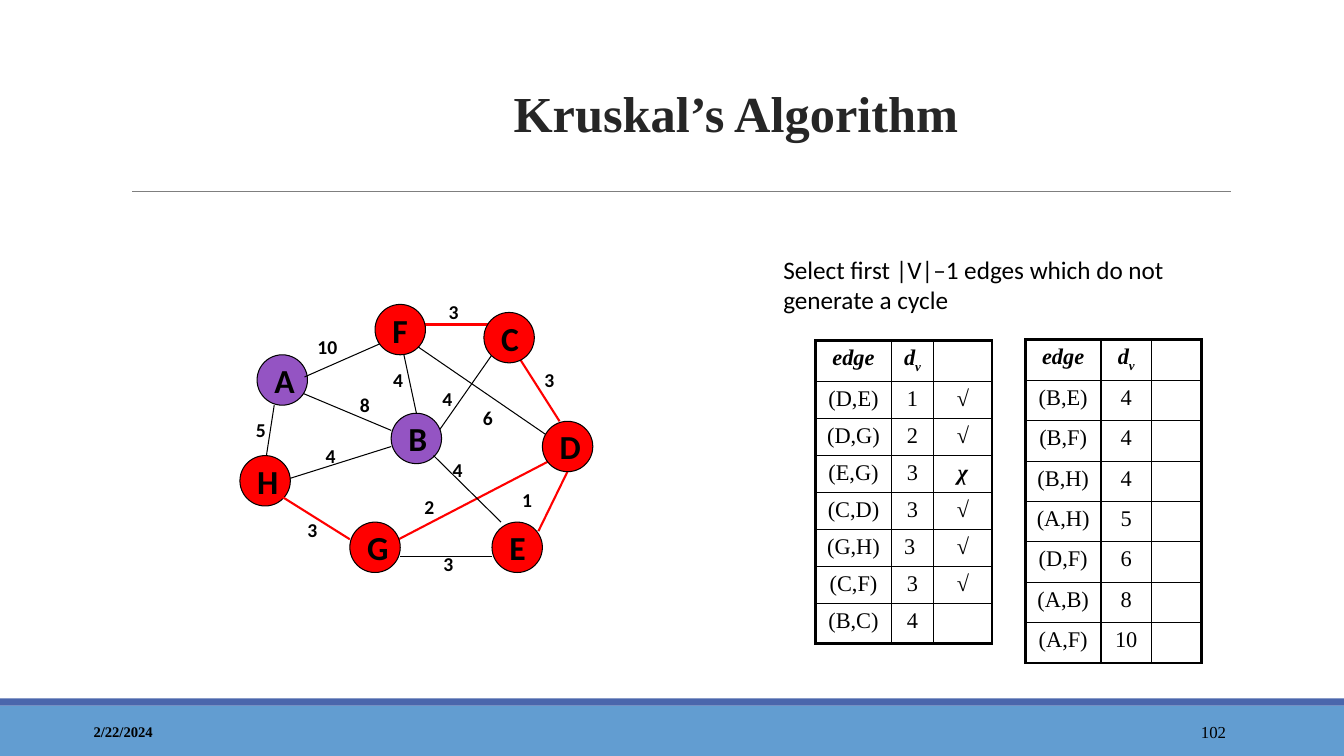
from lxml import etree
from pptx import Presentation
from pptx.dml.color import RGBColor
from pptx.enum.shapes import MSO_CONNECTOR, MSO_SHAPE
from pptx.enum.text import MSO_ANCHOR, PP_ALIGN
from pptx.oxml.ns import qn
from pptx.util import Inches, Pt

COLORS = {
    "black": "000000", "title": "262626", "rule": "7F7F7F", "red": "FF0000",
    "purple": "9454C3", "band": "629DD1", "strip": "4A66AC",
}
SERIF, SANS = "Times New Roman", "Calibri"
NODE = 0.5

NODES = [
    ("A", 2.55, 3.52, "purple"), ("H", 2.38, 4.52, "red"),
    ("B", 3.88, 4.1, "purple"), ("F", 3.72, 3.02, "red"),
    ("E", 4.88, 5.18, "red"), ("D", 5.38, 4.18, "red"),
    ("C", 4.8, 3.1, "red"), ("G", 3.47, 5.18, "red"),
]
# Start x, y, end x, y, chosen for the tree
BACK_EDGES = [
    (5.75, 4.43, 5.34, 5.27, True), (3.97, 3.35, 4.13, 4.1, False),
    (4.3, 4.35, 4.88, 3.52, False), (5.47, 4.35, 4.13, 3.43, False),
    (2.8, 4.77, 3.88, 4.43, False), (3.8, 5.43, 5.55, 4.52, True),
    (2.63, 4.6, 2.72, 4.02, False), (2.88, 3.85, 3.88, 4.27, False),
    (4.18, 3.22, 4.85, 3.22, True), (5.13, 3.52, 5.55, 4.18, True),
]
FRONT_EDGES = [
    (4.3, 4.52, 4.97, 5.18, False), (4.88, 5.52, 3.97, 5.52, False),
    (3.47, 5.35, 2.8, 4.93, True), (3.02, 3.74, 3.77, 3.41, False),
]
WEIGHTS = [
    ("5", 2.44, 4.1), ("1", 5.08, 4.79), ("3", 4.3, 5.43), ("2", 4.11, 4.86),
    ("4", 4.39, 4.49), ("6", 4.69, 3.98), ("3", 5.3, 3.6), ("4", 4.29, 3.79),
    ("3", 4.35, 2.93), ("4", 3.8, 3.6), ("8", 3.47, 3.85), ("4", 3.13, 4.35),
    ("3", 2.95, 5.09), ("10", 3.05, 3.27),
]
TRIED = [
    ("(D,E)", "1", "√"), ("(D,G)", "2", "√"), ("(E,G)", "3", "χ"),
    ("(C,D)", "3", "√"), ("(G,H)", "3 ", "√"), ("(C,F)", "3", "√"),
    ("(B,C)", "4", ""),
]
WAITING = [
    ("(B,E)", "4", ""), ("(B,F)", "4", ""), ("(B,H)", "4", ""),
    ("(A,H)", "5", ""), ("(D,F)", "6", ""), ("(A,B)", "8", ""),
    ("(A,F)", "10", ""),
]


def color(name):
    return RGBColor.from_string(COLORS[name])


def style(par, size, face, bold=False, italic=False, tint="black",
          align=PP_ALIGN.LEFT):
    par.alignment = align
    font = par.font
    font.size, font.name = Pt(size), face
    font.bold, font.italic = bold, italic
    font.color.rgb = color(tint)


def add_text(slide, text, left, top, width, height, size, face, bold=False,
             align=PP_ALIGN.LEFT, anchor=MSO_ANCHOR.TOP):
    box = slide.shapes.add_textbox(
        Inches(left), Inches(top), Inches(width), Inches(height))
    frame = box.text_frame
    frame.word_wrap = True
    frame.vertical_anchor = anchor
    frame.text = text
    style(frame.paragraphs[0], size, face, bold, align=align)


def add_line(slide, x1, y1, x2, y2, tint, width):
    line = slide.shapes.add_connector(
        MSO_CONNECTOR.STRAIGHT, Inches(x1), Inches(y1), Inches(x2), Inches(y2))
    line.line.color.rgb = color(tint)
    line.line.width = Pt(width)
    etree.SubElement(line._element.spPr, qn("a:effectLst"))


def add_edges(slide, edges):
    for *ends, chosen in edges:
        add_line(slide, *ends, "red" if chosen else "black",
                 1.5 if chosen else 0.75)


def add_shape(slide, kind, left, top, width, height, tint):
    shape = slide.shapes.add_shape(
        kind, Inches(left), Inches(top), Inches(width), Inches(height))
    shape.shadow.inherit = False
    shape.fill.solid()
    shape.fill.fore_color.rgb = color(tint)
    shape.line.fill.background()
    return shape


def add_node(slide, name, left, top, tint):
    node = add_shape(slide, MSO_SHAPE.OVAL, left, top, NODE, NODE, tint)
    node.line.color.rgb = color("black")
    node.line.width = Pt(0.75)
    frame = node.text_frame
    frame.vertical_anchor = MSO_ANCHOR.MIDDLE
    frame.text = name
    style(frame.paragraphs[0], 24, SANS, True)


def set_borders(cell, outer):
    """Draw four borders, thick on the sides named in outer."""
    props = cell._tc.get_or_add_tcPr()
    for side in "LRTB":
        width = Pt(2.25 if side in outer else 1)
        line = etree.SubElement(props, qn(f"a:ln{side}"), w=str(int(width)))
        fill = etree.SubElement(line, qn("a:solidFill"))
        etree.SubElement(fill, qn("a:srgbClr"), val=COLORS["black"])


def add_table(slide, left, top, widths, edges):
    rows = [("edge", "d", "")] + edges
    heights = [0.34 if row[-1] else 0.38 for row in rows]
    table = slide.shapes.add_table(
        len(rows), len(widths), Inches(left), Inches(top),
        Inches(sum(widths)), Inches(sum(heights))).table
    table.first_row = table.horz_banding = False
    for col, width in zip(table.columns, widths):
        col.width = Inches(width)
    for r, row in enumerate(rows):
        table.rows[r].height = Inches(heights[r])
        for c, text in enumerate(row):
            cell = table.cell(r, c)
            sides = {"L": c == 0, "R": c == len(row) - 1,
                     "T": r == 0, "B": r == len(rows) - 1}
            set_borders(cell, [side for side, on in sides.items() if on])
            cell.fill.background()
            if text:
                par = cell.text_frame.paragraphs[0]
                par.add_run().text = text
                strong = r == 0 or c == 2
                style(par, 16, SERIF, strong, strong, align=PP_ALIGN.CENTER)
    sub = table.cell(0, 1).text_frame.paragraphs[0].add_run()
    sub.text = "v"
    sub._r.get_or_add_rPr().set("baseline", "-25000")


def set_title(slide, text):
    title = slide.shapes.title
    title.left, title.top = Inches(1.8), Inches(0.41)
    title.width, title.height = Inches(11), Inches(1.06)
    frame = title.text_frame
    frame.vertical_anchor = MSO_ANCHOR.BOTTOM
    frame.text = text
    par = frame.paragraphs[0]
    par.line_spacing = 1.1
    style(par, 36, SERIF, True, tint="title", align=PP_ALIGN.CENTER)


def add_footer(slide):
    add_shape(slide, MSO_SHAPE.RECTANGLE, 0, 7, 13.33, 0.5, "band")
    add_shape(slide, MSO_SHAPE.RECTANGLE, 0, 6.93, 13.33, 0.07, "strip")
    add_text(slide, "2/22/2024", 0.83, 7.06, 3, 0.4, 10.5, SERIF, True,
             anchor=MSO_ANCHOR.MIDDLE)
    add_text(slide, "102", 10.83, 7.06, 1.43, 0.4, 12, SERIF,
             align=PP_ALIGN.RIGHT, anchor=MSO_ANCHOR.MIDDLE)


def add_graph(slide):
    add_edges(slide, BACK_EDGES)
    for node in NODES:
        add_node(slide, *node)
    add_edges(slide, FRONT_EDGES)
    for text, left, top in WEIGHTS:
        add_text(slide, text, left, top, 0.52, 0.33, 14, SANS, True)


def main():
    deck = Presentation()
    deck.slide_width, deck.slide_height = Inches(13.33), Inches(7.5)
    slide = deck.slides.add_slide(deck.slide_layouts[5])
    set_title(slide, "Kruskal’s Algorithm")
    add_footer(slide)
    add_line(slide, 1.31, 1.9, 12.21, 1.9, "rule", 0.75)
    add_text(slide, "Select first |V|–1 edges which do not generate a cycle",
             7.67, 2.47, 4.42, 0.77, 18, SANS)
    add_table(slide, 8.09, 3.38, (0.75, 0.42, 0.58), TRIED)
    add_table(slide, 10.17, 3.37, (0.75, 0.5, 0.5), WAITING)
    add_graph(slide)
    deck.save("out.pptx")


if __name__ == "__main__":
    main()
